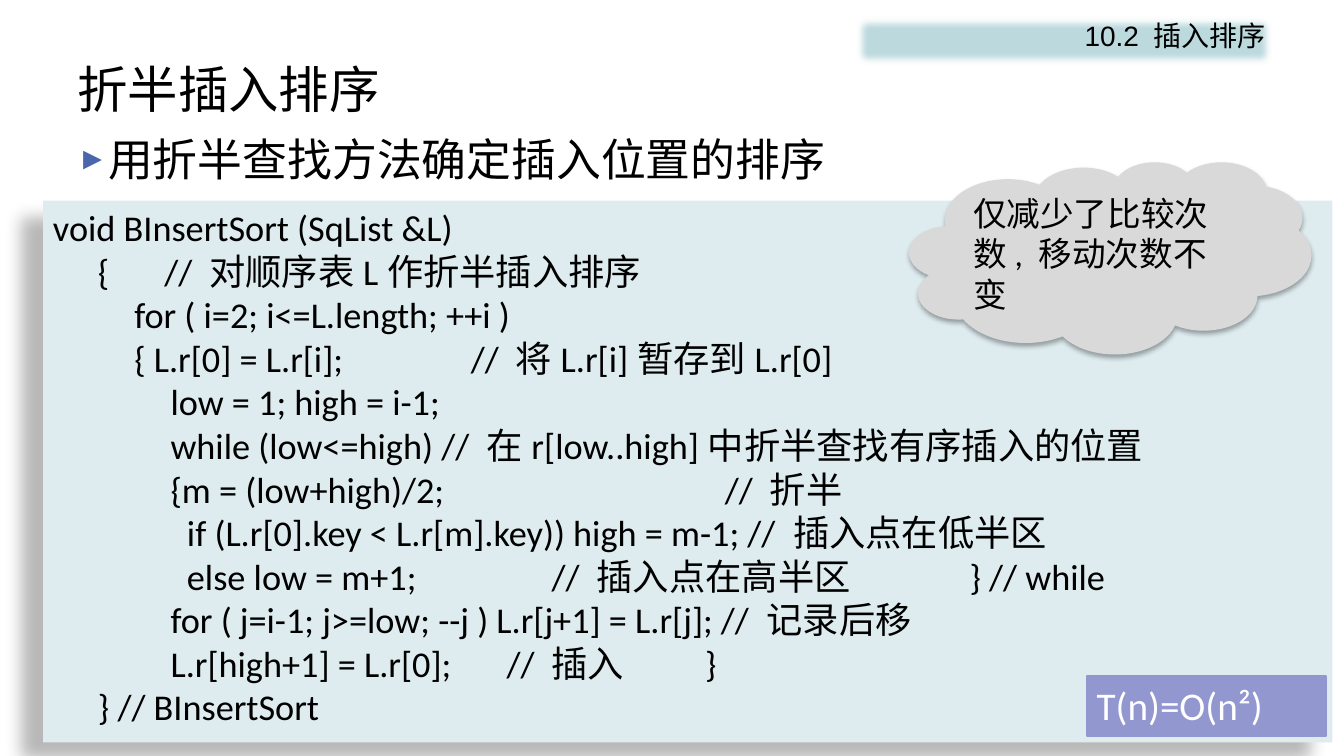
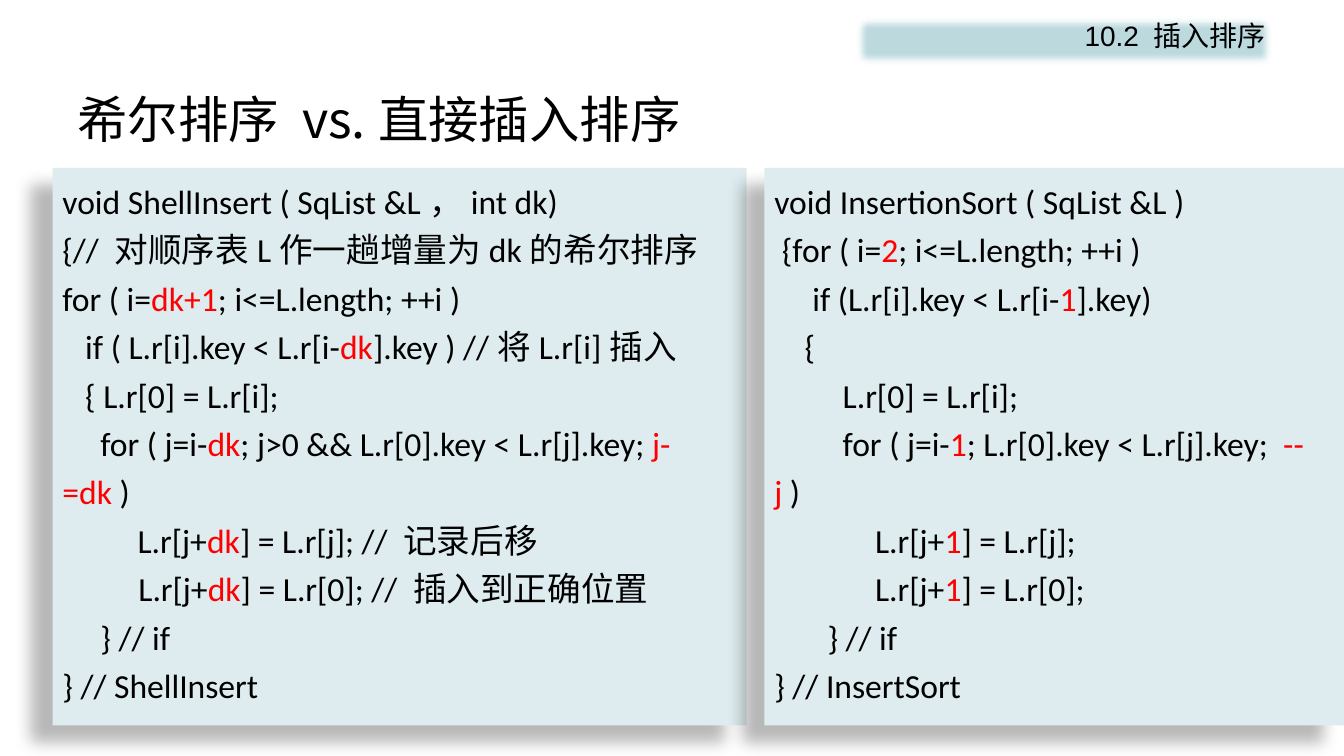
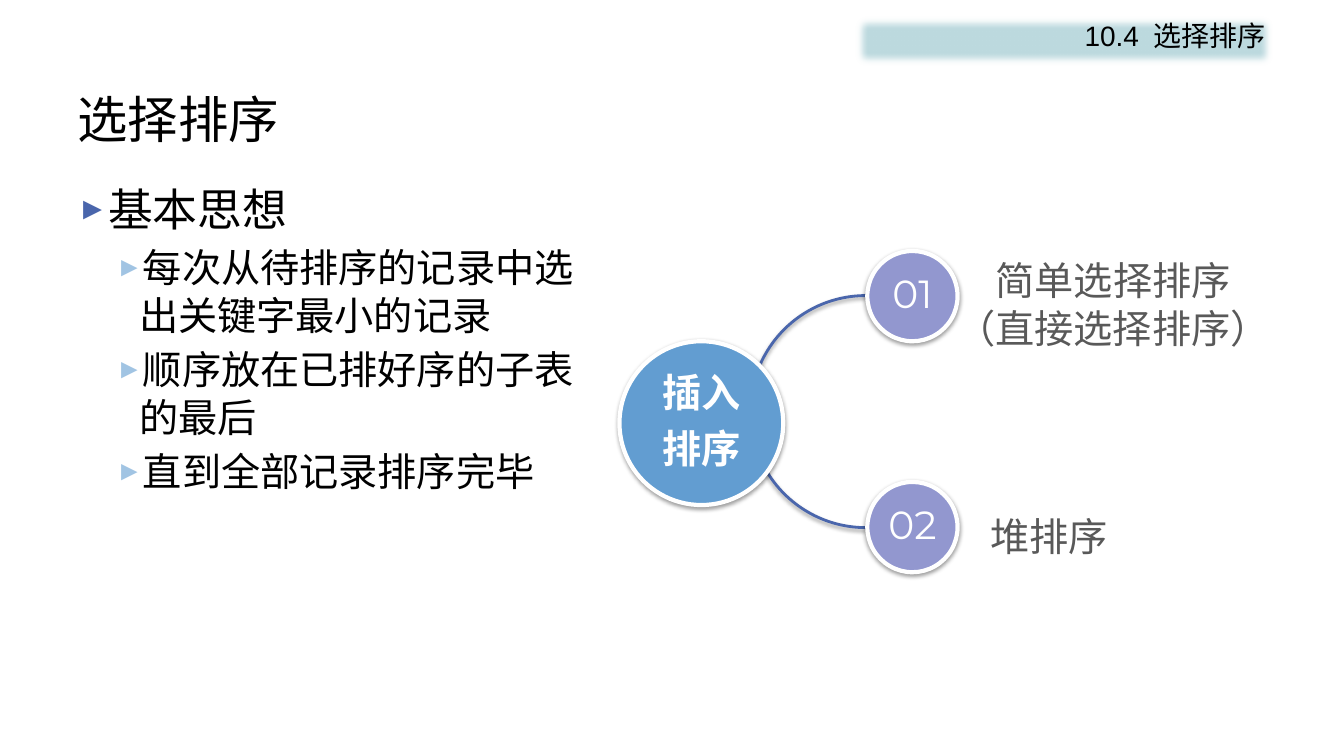
from dataclasses import dataclass

from lxml import etree
from pptx import Presentation
from pptx import util as u
from pptx.dml.color import RGBColor
from pptx.enum import shapes, text
from pptx.oxml import ns

EMU_PER_PX = 9525
ALIGN = text.PP_ALIGN
ANCHOR = text.MSO_ANCHOR
SHAPE = shapes.MSO_SHAPE


@dataclass(frozen=True)
class Theme:
    black: str = "000000"
    white: str = "FFFFFF"
    red: str = "FF0000"
    gray: str = "595959"
    band: str = "BDDADF"
    code_fill: str = "DEECEF"
    cloud_fill: str = "D9D9D9"
    violet: str = "9297CF"
    blue: str = "629DD1"
    accent: str = "4A66AC"
    light_blue: str = "A1C4E3"
    heading_font: str = "Noto Sans CJK SC"
    code_font: str = "Calibri"
    label_font: str = "Arial"
    number_font: str = "Montserrat"
    title_size: float = 36
    lead_size: float = 32
    label_size: float = 28
    code_size: float = 25.9
    small_code_size: float = 24
    header_size: float = 20


THEME = Theme()

# Shadows: opacity in percent, blur and distance in points, direction in degrees
PANEL_SHADOW = (28, 11.8, 19.7, 141)
CLOUD_SHADOW = (32, 3.5, 2.2, 90)
NODE_SHADOW = (38, 3.1, 1.6, 90)

# Each line is its text, followed by the px positions of its tab stops
BINARY_INSERT = [
    ("void BInsertSort (SqList &L)",),
    ("　{\t// 对顺序表L作折半插入排序", 106),
    ("　　for ( i=2; i<=L.length; ++i )",),
    ("　　{ L.r[0] = L.r[i];\t// 将L.r[i]暂存到L.r[0]", 398),
    ("　　　low = 1; high = i-1;",),
    ("　　　while (low<=high) // 在r[low..high]中折半查找有序插入的位置",),
    ("　　　{m = (low+high)/2;\t// 折半", 640),
    ("　　　  if (L.r[0].key < L.r[m].key)) high = m-1; // 插入点在低半区",),
    ("　　　  else low = m+1;\t// 插入点在高半区\t} // while", 475, 873),
    ("　　　for ( j=i-1; j>=low; --j ) L.r[j+1] = L.r[j]; // 记录后移",),
    ("　　　L.r[high+1] = L.r[0];\t// 插入\t}", 432, 621),
    ("　} // BInsertSort",),
]

# Text between ~ marks is highlighted
SHELL_INSERT = [
    ("void ShellInsert ( SqList &L，int dk)",),
    ("{// 对顺序表L作一趟增量为dk的希尔排序",),
    ("for ( i=~dk+1~; i<=L.length; ++i )",),
    ("   if ( L.r[i].key < L.r[i-~dk~].key ) //将L.r[i]插入",),
    ("   { L.r[0] = L.r[i];",),
    ("     for ( j=i-~dk~; j>0 && L.r[0].key < L.r[j].key; ~j-=dk ~)",),
    ("　　L.r[j+~dk~] = L.r[j]; // 记录后移",),
    ("          L.r[j+~dk~] = L.r[0]; // 插入到正确位置",),
    ("     } // if",),
    ("} // ShellInsert",),
]
INSERTION_SORT = [
    ("void InsertionSort ( SqList &L )",),
    (" {for ( i=~2~; i<=L.length; ++i )",),
    ("     if (L.r[i].key < L.r[i-~1~].key)",),
    ("    {",),
    ("         L.r[0] = L.r[i];",),
    ("         for ( j=i-~1~; L.r[0].key < L.r[j].key;  ~-- j~ )",),
    ("\tL.r[j+~1~] = L.r[j];", 96),
    ("\tL.r[j+~1~] = L.r[0];", 96),
    ("       } // if",),
    ("} // InsertSort",),
]


def px(length):
    return u.Emu(length * EMU_PER_PX)


def rgb(color):
    return RGBColor.from_string(color)


def add_xml(parent, tag, **attributes):
    values = {name: str(value) for name, value in attributes.items()}
    return etree.SubElement(parent, ns.qn(tag), values)


# Text
def add_span(para, words, size, font, color, bold=False):
    span = para.add_run()
    span.text = words
    span.font.size = u.Pt(size)
    span.font.name = font
    span.font.bold = bold
    span.font.color.rgb = rgb(color)
    add_xml(span.font._element, "a:ea", typeface=font)


def next_para(frame, index, align=ALIGN.LEFT, spacing=None):
    para = frame.add_paragraph() if index else frame.paragraphs[0]
    para.alignment = align
    if spacing:
        para.line_spacing = spacing
    return para


def set_frame(frame, anchor=ANCHOR.TOP, margins=None):
    frame.word_wrap = True
    frame.auto_size = text.MSO_AUTO_SIZE.NONE
    frame.vertical_anchor = anchor
    if margins:
        (frame.margin_left, frame.margin_top,
         frame.margin_right, frame.margin_bottom) = map(px, margins)


def add_label(page, area, lines, align=ALIGN.LEFT):
    box = page.shapes.add_textbox(*map(px, area))
    set_frame(box.text_frame)
    for index, line in enumerate(lines):
        para = next_para(box.text_frame, index, align, u.Pt(34))
        add_span(para, line, THEME.label_size, THEME.label_font, THEME.gray)


def add_bullets(page, area, items):
    # For each level: type size, line pitch, left margin, hanging indent, bullet colour
    levels = [(THEME.lead_size, 39, 27, 27, THEME.accent),
              (THEME.label_size, 34, 59, 22, THEME.light_blue)]
    box = page.shapes.add_textbox(*map(px, area))
    set_frame(box.text_frame)
    for index, (level, words) in enumerate(items):
        size, pitch, margin, hanging, color = levels[level]
        para = next_para(box.text_frame, index, spacing=u.Pt(pitch))
        para.level = level
        if index:
            para.space_before = u.Pt(5)
        props = para._p.get_or_add_pPr()
        props.set("marL", str(px(margin)))
        props.set("indent", str(px(-hanging)))
        add_xml(add_xml(props, "a:buClr"), "a:srgbClr", val=color)
        add_xml(props, "a:buSzPct", val=70000)
        add_xml(props, "a:buFont", typeface=THEME.label_font)
        add_xml(props, "a:buChar", char="►")
        add_span(para, words, size, THEME.heading_font, THEME.black)


# Shapes
def add_shadow(shape, opacity, blur, distance, direction):
    effects = shape._element.spPr.find(ns.qn("a:effectLst"))
    shadow = add_xml(effects, "a:outerShdw", blurRad=u.Pt(blur), dist=u.Pt(distance),
                     dir=direction * 60000, algn="ctr", rotWithShape=0)
    color = add_xml(shadow, "a:srgbClr", val=THEME.black)
    add_xml(color, "a:alpha", val=opacity * 1000)


def add_figure(page, kind, area, fill=None, line=None, width=1, shadow=None):
    shape = page.shapes.add_shape(kind, *map(px, area))
    shape.shadow.inherit = False
    if fill:
        shape.fill.solid()
        shape.fill.fore_color.rgb = rgb(fill)
    else:
        shape.fill.background()
    if line:
        shape.line.color.rgb = rgb(line)
        shape.line.width = u.Pt(width)
    else:
        shape.line.fill.background()
    if shadow:
        add_shadow(shape, *shadow)
    return shape


def add_code(page, area, lines, size, spacing=None):
    panel = add_figure(page, SHAPE.RECTANGLE, area, THEME.code_fill, shadow=PANEL_SHADOW)
    set_frame(panel.text_frame)
    for index, (line, *stops) in enumerate(lines):
        para = next_para(panel.text_frame, index, spacing=spacing)
        if stops:
            tabs = add_xml(para._p.get_or_add_pPr(), "a:tabLst")
            for stop in stops:
                add_xml(tabs, "a:tab", pos=px(stop), algn="l")
        for part, words in enumerate(line.split("~")):
            if words:
                color = THEME.red if part % 2 else THEME.black
                add_span(para, words, size, THEME.code_font, color)


def add_node(page, center, diameter, lines, fill, font, bold=False):
    x, y = (middle - diameter // 2 for middle in center)
    node = add_figure(page, SHAPE.OVAL, (x, y, diameter, diameter), fill,
                      THEME.white, 3, NODE_SHADOW)
    set_frame(node.text_frame, ANCHOR.MIDDLE, (0, 0, 0, 0))
    for index, line in enumerate(lines):
        para = next_para(node.text_frame, index, ALIGN.CENTER, 0.9)
        if index < len(lines) - 1:
            para.space_after = u.Pt(10)
        add_span(para, line, THEME.label_size, font, THEME.white, bold)


# Shared page: title and soft-edged section band
def add_page(deck, title, section, title_top=77):
    page = deck.slides.add_slide(deck.slide_layouts[5])
    heading = page.shapes.title
    heading.left, heading.top, heading.width, heading.height = map(
        px, (64, title_top, 1152, 72))
    set_frame(heading.text_frame, ANCHOR.MIDDLE)
    add_span(next_para(heading.text_frame, 0), title,
             THEME.title_size, THEME.heading_font, THEME.black)

    band = add_figure(page, SHAPE.RECTANGLE, (812, 13, 403, 52), THEME.band)
    effects = band._element.spPr.find(ns.qn("a:effectLst"))
    add_xml(effects, "a:softEdge", rad=u.Pt(6))
    set_frame(band.text_frame)
    add_span(next_para(band.text_frame, 0, ALIGN.RIGHT), section,
             THEME.header_size, THEME.label_font, THEME.black)
    return page


def build_binary_insertion(deck):
    page = add_page(deck, "折半插入排序", "10.2 插入排序", title_top=48)
    add_bullets(page, (64, 120, 1152, 72), [(0, "用折半查找方法确定插入位置的排序")])
    add_code(page, (41, 191, 1228, 516), BINARY_INSERT, THEME.code_size)

    cloud = add_figure(page, SHAPE.CLOUD, (866, 154, 383, 183),
                       THEME.cloud_fill, shadow=CLOUD_SHADOW)
    set_frame(cloud.text_frame, ANCHOR.MIDDLE, (8, 5, 0, 5))
    add_span(next_para(cloud.text_frame, 0), "仅减少了比较次数, 移动次数不变",
             THEME.small_code_size, THEME.code_font, THEME.black)

    cost = add_figure(page, SHAPE.RECTANGLE, (1035, 644, 228, 57),
                      THEME.violet, THEME.violet, 1.25)
    set_frame(cost.text_frame)
    add_span(next_para(cost.text_frame, 0), "T(n)=O(n²)",
             THEME.label_size, THEME.code_font, THEME.white)


def build_comparison(deck):
    page = add_page(deck, "希尔排序 vs.直接插入排序", "10.2 插入排序")
    for left, width, lines in [(50, 661, SHELL_INSERT), (728, 552, INSERTION_SORT)]:
        add_code(page, (left, 160, width, 531), lines, THEME.small_code_size, 1.2)


def build_selection(deck):
    page = add_page(deck, "选择排序", "10.4 选择排序")
    add_bullets(page, (64, 168, 510, 475), [
        (0, "基本思想"),
        (1, "每次从待排序的记录中选出关键字最小的记录"),
        (1, "顺序放在已排好序的子表的最后"),
        (1, "直到全部记录排序完毕"),
    ])

    # Half circle joining the main node to the two methods
    branch = add_figure(page, SHAPE.ARC, (714, 282, 221, 220),
                        line=THEME.accent, width=2, shadow=NODE_SHADOW)
    branch.rotation = 270
    branch.adjustments[0] = 107.85
    branch.adjustments[1] = 0.55
    add_node(page, (668, 403), 156, ["插入", "排序"], THEME.blue, THEME.label_font, True)
    for number, middle in [("01", 282), ("02", 502)]:
        add_node(page, (869, middle), 86, [number], THEME.violet, THEME.number_font)
    add_label(page, (900, 239, 320, 100), ["简单选择排序", "（直接选择排序）"], ALIGN.CENTER)
    add_label(page, (934, 483, 185, 55), ["堆排序"])


def main():
    deck = Presentation()
    deck.slide_width, deck.slide_height = px(1280), px(720)
    build_binary_insertion(deck)
    build_comparison(deck)
    build_selection(deck)
    deck.save("out.pptx")


if __name__ == "__main__":
    main()
